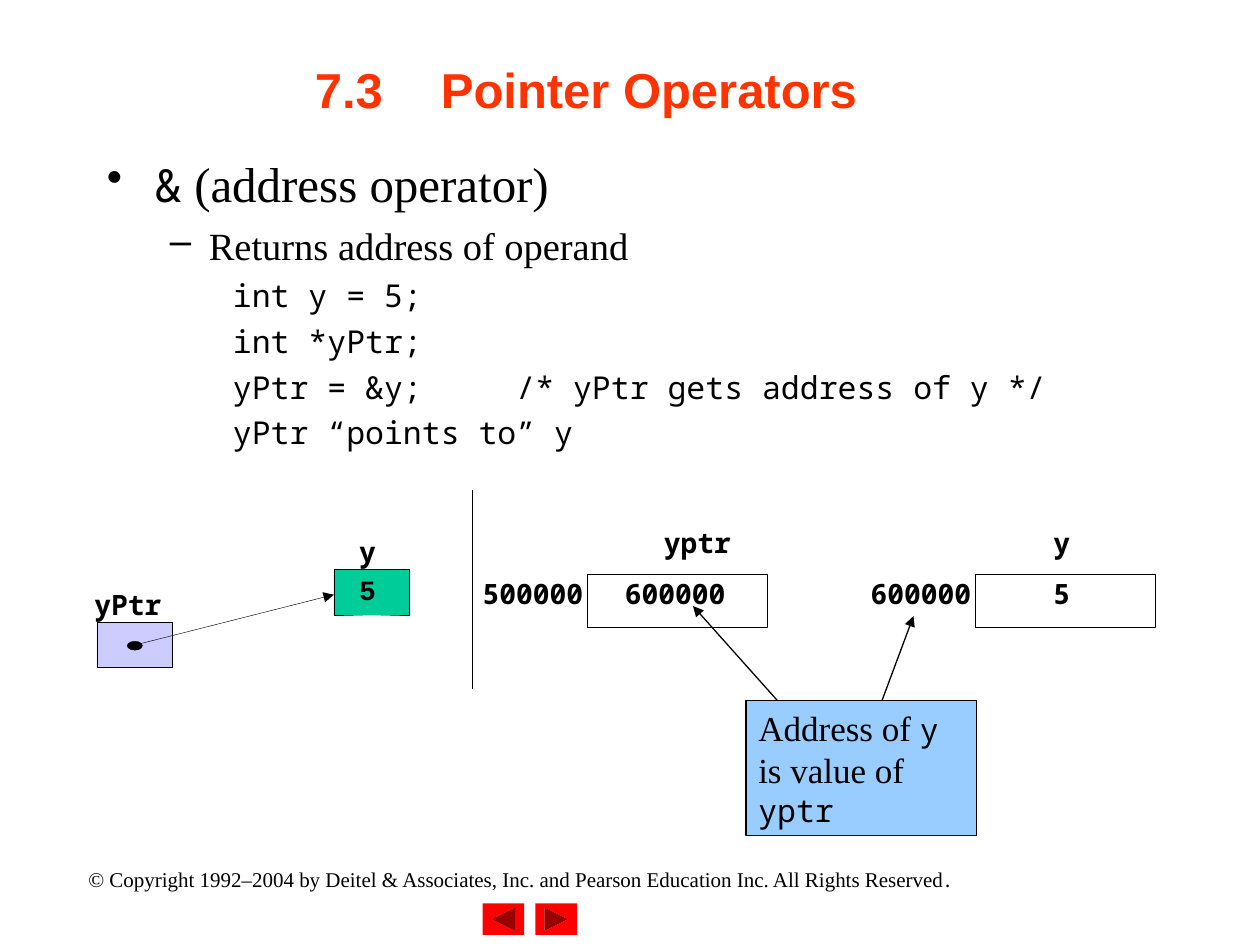
from lxml import etree
from pptx import Presentation
from pptx.dml.color import RGBColor
from pptx.enum.shapes import MSO_CONNECTOR, MSO_SHAPE
from pptx.enum.text import MSO_ANCHOR, PP_ALIGN
from pptx.oxml.ns import qn
from pptx.util import Inches, Pt

RECT, OVAL = MSO_SHAPE.RECTANGLE, MSO_SHAPE.OVAL
BACK = MSO_SHAPE.ACTION_BUTTON_BACK_OR_PREVIOUS
NEXT = MSO_SHAPE.ACTION_BUTTON_FORWARD_OR_NEXT
STRAIGHT = MSO_CONNECTOR.STRAIGHT
CENTER, MIDDLE = PP_ALIGN.CENTER, MSO_ANCHOR.MIDDLE
MONO, SERIF, SANS, FIXED = "Noto Sans Mono", "Times New Roman", "Arial", "Courier New"
COLORS = {
    "black": "000000", "title": "FF3300", "button": "FF0000",
    "lilac": "CCCCFF", "green": "00CC99", "sky": "99CCFF",
}


def color(name):
    """Return the named color."""
    return RGBColor.from_string(COLORS[name])


def write(para, text, size=16, font=MONO, bold=False, ink="black"):
    """Add a formatted run to a paragraph."""
    run = para.add_run()
    run.text = text
    run.font.size = Pt(size)
    run.font.name = font
    run.font.bold = bold
    run.font.color.rgb = color(ink)


def indent(para, left, hang, mark=None):
    """Set the indent and bullet of a paragraph."""
    props = para._p.get_or_add_pPr()
    props.set("marL", str(Inches(left)))
    props.set("indent", str(-Inches(hang)))
    if mark:
        etree.SubElement(props, qn("a:buChar")).set("char", mark)
    else:
        etree.SubElement(props, qn("a:buNone"))


class Painter:
    """Hold the style and the current slide."""

    def __init__(self, slide):
        self.slide = slide
        self.thin = 0.25
        self.thick = 0.75

    def text(self, x, y, w, h, pad=True):
        """Add a text box and return its frame."""
        frame = self.slide.shapes.add_textbox(*map(Inches, (x, y, w, h))).text_frame
        frame.word_wrap = pad
        if not pad:
            frame.margin_left = frame.margin_right = 0
            frame.margin_top = frame.margin_bottom = 0
        return frame

    def label(self, text, x, y, w, h=0.32, gap=0.8, font=MONO):
        """Add a bold one-line label."""
        para = self.text(x, y, w, h, pad=False).paragraphs[0]
        para.line_spacing = gap
        write(para, text, font=font, bold=True)

    def shape(self, kind, x, y, w, h, fill=None, line=None):
        """Add a preset shape."""
        shape = self.slide.shapes.add_shape(kind, *map(Inches, (x, y, w, h)))
        shape.shadow.inherit = False
        if fill:
            shape.fill.solid()
            shape.fill.fore_color.rgb = color(fill)
        else:
            shape.fill.background()
        if line:
            shape.line.width = Pt(line)
            shape.line.color.rgb = color("black")
        else:
            shape.line.fill.background()
        return shape

    def line(self, start, end, width, arrow=True):
        """Add a straight line, with an arrowhead at its end if wanted."""
        line = self.slide.shapes.add_connector(STRAIGHT, *map(Inches, start + end))
        line.line.width = Pt(width)
        line.line.color.rgb = color("black")
        if arrow:
            etree.SubElement(line.line._get_or_add_ln(), qn("a:tailEnd")).set("type", "triangle")
        etree.SubElement(line._element.spPr, qn("a:effectLst"))


def header(paint):
    """Draw the title."""
    frame = paint.text(0.75, 0.08, 8.5, 1.25)
    frame.vertical_anchor = MIDDLE
    para = frame.paragraphs[0]
    para.alignment = CENTER
    tabs = etree.SubElement(para._p.get_or_add_pPr(), qn("a:tabLst"))
    for stop in range(8):
        tab = etree.SubElement(tabs, qn("a:tab"))
        tab.set("pos", str(Inches(stop)))
        tab.set("algn", "l")
    write(para, "7.3\tPointer Operators\t", size=28, font=SANS, bold=True, ink="title")


def body(paint):
    """Draw the bullets and the code."""
    frame = paint.text(0.75, 1.17, 8.5, 5.92)
    para = frame.paragraphs[0]
    indent(para, 0.38, 0.38, "•")
    write(para, "&", size=26)
    write(para, " (address operator)", size=28, font=SERIF)
    para = frame.add_paragraph()
    para.space_before = Pt(5.5)
    indent(para, 0.81, 0.31, "–")
    write(para, "Returns address of operand", size=22, font=SERIF)
    for code in (
        "int y = 5;",
        "int *yPtr;",
        "yPtr = &y;     /* yPtr gets address of y */",
        "yPtr “points to” y",
    ):
        para = frame.add_paragraph()
        para.space_before = Pt(4.5)
        indent(para, 1.25, 0.25)
        write(para, code, size=18)


def pointer(paint):
    """Draw the pointer and its target."""
    paint.shape(RECT, 0.77, 4.94, 0.6, 0.36, "lilac", paint.thin)
    paint.shape(RECT, 2.65, 4.52, 0.6, 0.36, "green", paint.thin)
    paint.line((1.07, 5.12), (2.65, 4.72), paint.thin)
    paint.shape(OVAL, 1.01, 5.09, 0.12, 0.07, "black", paint.thin)
    for text, x, y, w, font in (
        ("yPtr", 0.75, 4.73, 0.63, MONO),
        ("y", 2.85, 4.31, 0.2, MONO),
        ("5", 2.85, 4.61, 0.2, FIXED),
    ):
        paint.label(text, x, y, w, 0.21, 0.72, font)


def memory(paint):
    """Draw the memory cells and the note on them."""
    for left, place, name, name_x, value, value_x in (
        (3.83, "500000", "yptr", 5.27, "600000", 4.96),
        (6.91, "600000", "y", 8.36, "5", 8.36),
    ):
        paint.shape(RECT, left + 0.83, 4.56, 1.43, 0.42, line=paint.thin)
        paint.label(name, name_x, 4.22, 0.14 * len(name))
        paint.label(place, left, 4.63, 0.82)
        paint.label(value, value_x, 4.63, 0.14 * len(value))
    paint.line((3.75, 3.89), (3.75, 5.47), paint.thick, arrow=False)
    frame = paint.shape(RECT, 5.92, 5.56, 1.83, 1.07, "sky", paint.thick).text_frame
    frame.word_wrap = True
    frame.vertical_anchor = MSO_ANCHOR.TOP
    para = frame.paragraphs[0]
    para.alignment = PP_ALIGN.LEFT
    for words, code in (("Address of ", "y"), (" is value of ", "yptr")):
        write(para, words, size=20, font=SERIF)
        write(para, code, size=18)
    paint.line((7, 5.56), (7.25, 4.89), paint.thick)
    paint.line((6.17, 5.56), (5.5, 4.81), paint.thick)


def footer(paint):
    """Draw the buttons and the copyright line."""
    for kind, x in ((NEXT, 4.25), (BACK, 3.83)):
        paint.shape(kind, x, 7.17, 0.33, 0.25, "button")
    para = paint.text(0.5, 6.83, 7.25, 0.3).paragraphs[0]
    para.alignment = CENTER
    write(
        para,
        "© Copyright 1992–2004 by Deitel & Associates, Inc. and Pearson Education Inc. All Rights Reserved",
        size=12, font=SERIF,
    )
    write(para, ".", size=12, font="League Spartan")


def main():
    """Build the slide and save it."""
    deck = Presentation()
    deck.slide_width, deck.slide_height = Inches(10), Inches(7.5)
    paint = Painter(deck.slides.add_slide(deck.slide_layouts[6]))
    for draw in (footer, header, body, pointer, memory):
        draw(paint)
    deck.save("out.pptx")


if __name__ == "__main__":
    main()
